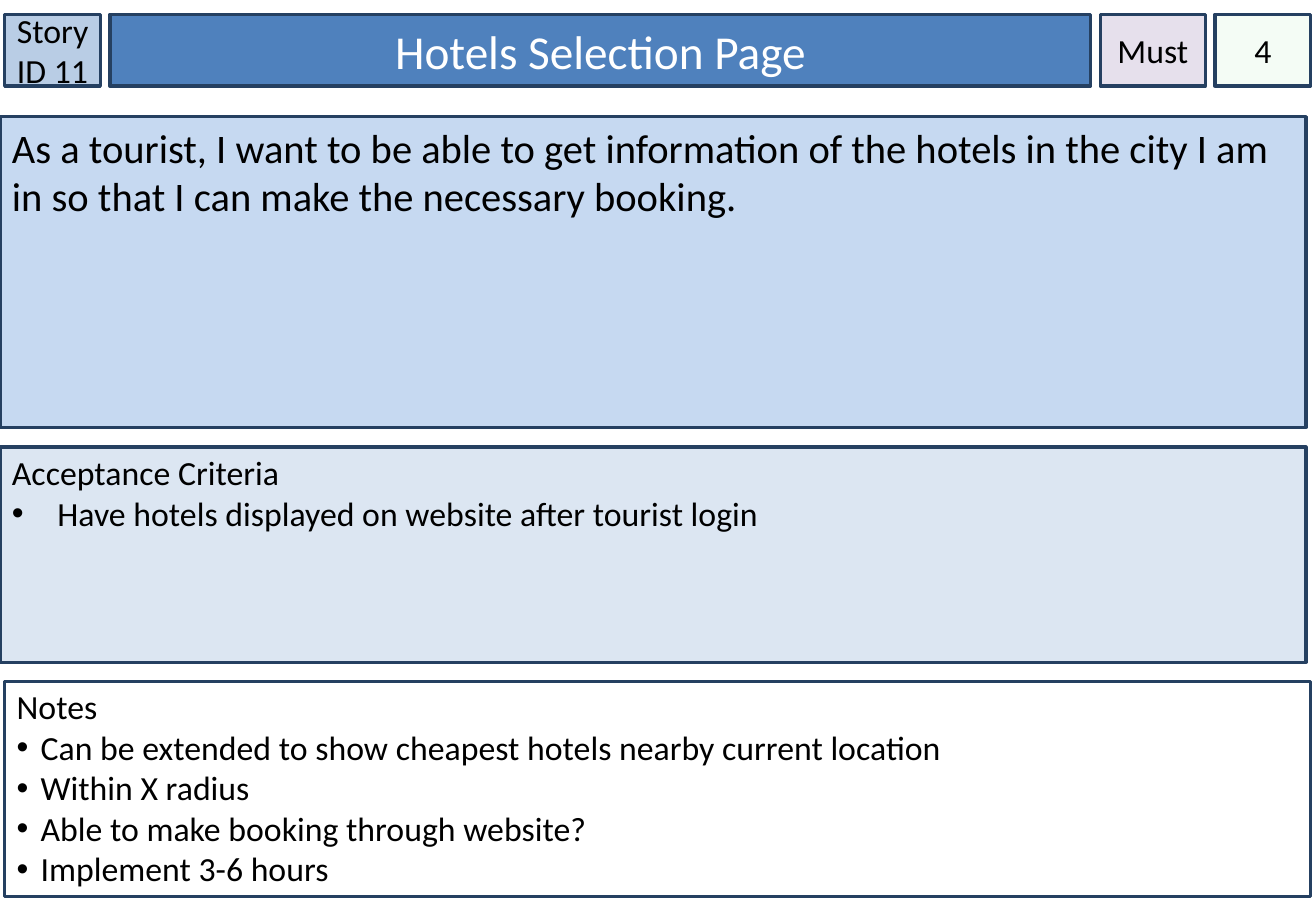
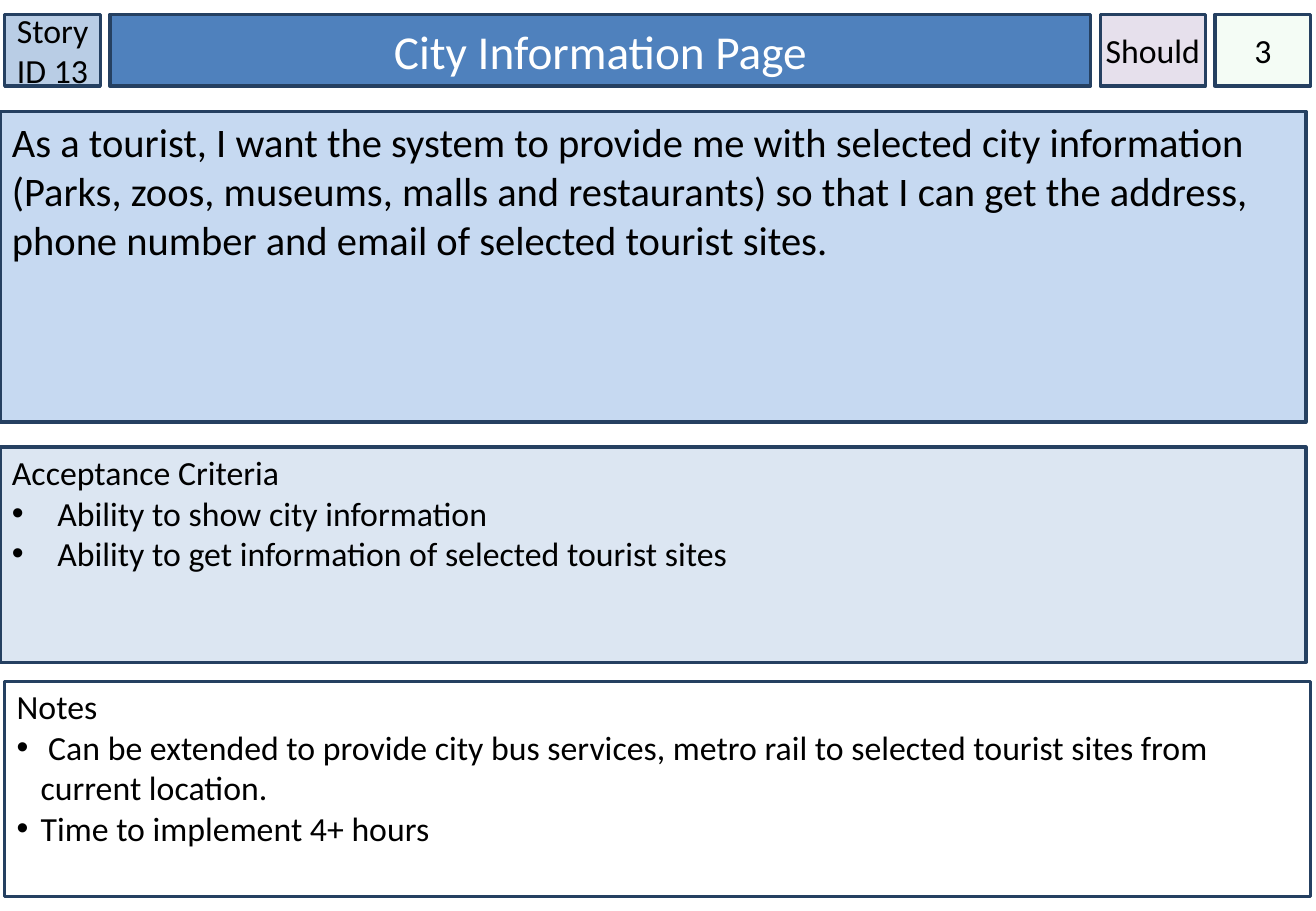
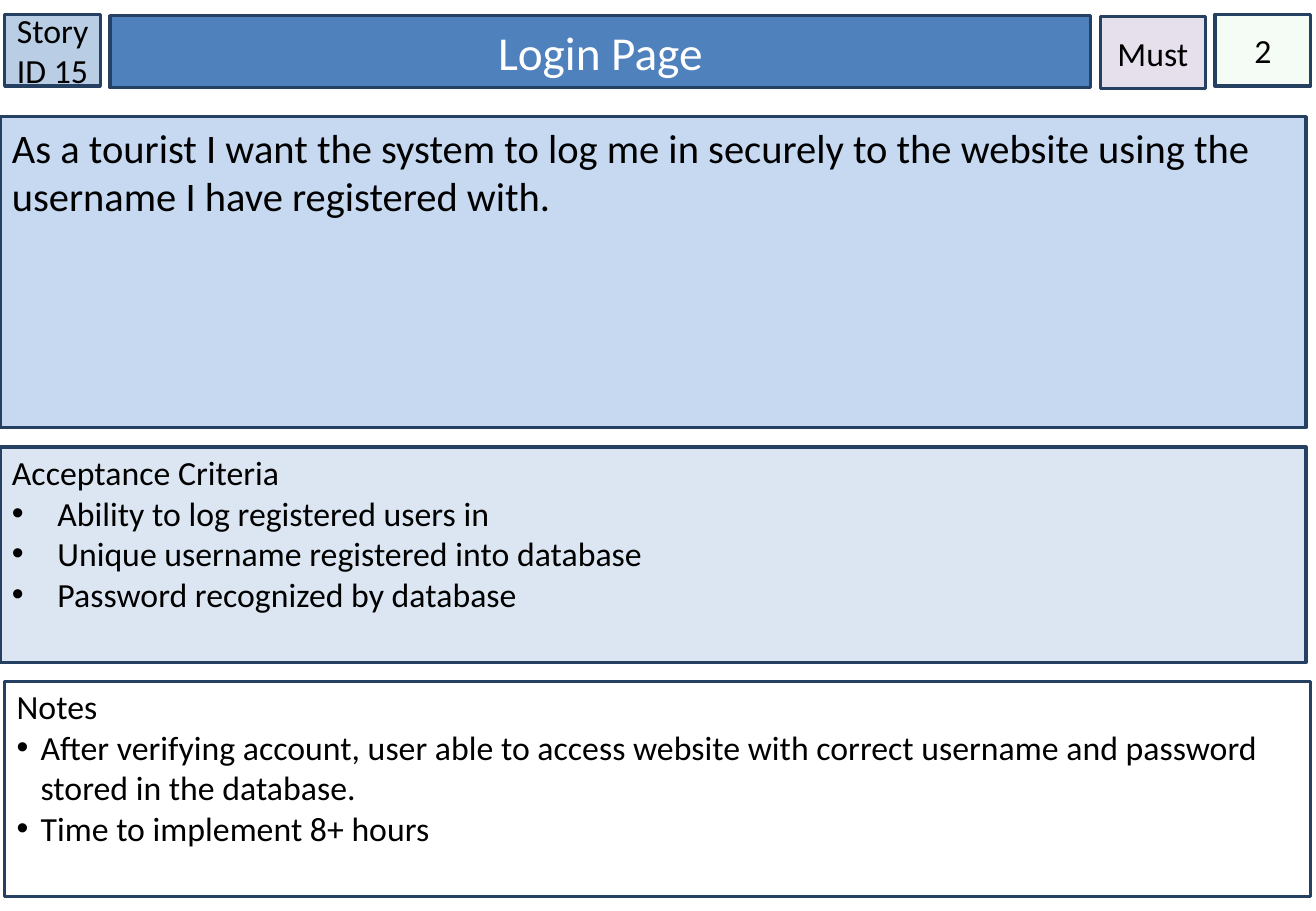
import pptx
import pptx.dml.color
import pptx.enum.shapes
import pptx.enum.text
import pptx.oxml.ns
import pptx.oxml.xmlchemy
import pptx.util
from lxml import etree

Cm = pptx.util.Cm
ANCHOR = pptx.enum.text.MSO_ANCHOR
ALIGN = pptx.enum.text.PP_ALIGN

OUTLINE = "254061"
GAP = 0.2
EDGE = 0.1
HEADER_TOP = 0.3
HEADER_HEIGHT = 1.5
PANEL_WIDTH = 27.3
STORY_TOP = 2.44

TITLE_FONT = {"name": "Calibri", "size": pptx.util.Pt(28), "color": "FFFFFF"}
STORY_FONT = {"name": "Calibri", "size": pptx.util.Pt(24), "color": "000000"}
BODY_FONT = {"name": "Calibri", "size": pptx.util.Pt(20), "color": "000000"}

CENTRED = {"vertical_anchor": ANCHOR.MIDDLE, "word_wrap": True}
BADGE = {**CENTRED, "margin_left": 0, "margin_right": 0}
BADGE_UNWRAPPED = {**BADGE, "word_wrap": False}
PANEL = {"vertical_anchor": ANCHOR.TOP, "word_wrap": True}
LIST_PANEL = {**PANEL, "margin_top": Cm(0.1)}

HEADER_CELLS = [
    ("id", 2.0, "B9CDE5", None, BADGE, BODY_FONT),
    ("title", 20.5, "4F81BD", None, CENTRED, TITLE_FONT),
    ("priority", 2.2, "E6E0EC", None, BADGE_UNWRAPPED, BODY_FONT),
    ("points", 2.0, "CCF0CD", 20, BADGE, BODY_FONT),
]

STORIES = [
    {
        "id": "Story ID 11",
        "title": "Hotels Selection Page",
        "priority": "Must",
        "points": "4",
        "story": "As a tourist, I want to be able to get information of the hotels "
                 "in the city I am in so that I can make the necessary booking.",
        "criteria": ["Have hotels displayed on website after tourist login"],
        "notes": [
            "Can be extended to show cheapest hotels nearby current location",
            "Within X radius",
            "Able to make booking through website?",
            "Implement 3-6 hours",
        ],
        "tops": {},
    },
    {
        "id": "Story ID 13",
        "title": "City Information Page",
        "priority": "Should",
        "points": "3",
        "story": "As a tourist, I want the system to provide me with selected city "
                 "information (Parks, zoos, museums, malls and restaurants) so that I "
                 "can get the address, phone number and email of selected tourist sites.",
        "criteria": [
            "Ability to show city information",
            "Ability to get information of selected tourist sites",
        ],
        "notes": [
            " Can be extended to provide city bus services, metro rail to selected "
            "tourist sites from current location.",
            "Time to implement 4+ hours",
        ],
        "tops": {"story": 2.33},
    },
    {
        "id": "Story ID 15",
        "title": "Login Page",
        "priority": "Must",
        "points": "2",
        "story": "As a tourist I want the system to log me in securely to the website "
                 "using the username I have registered with.",
        "criteria": [
            "Ability to log registered users in",
            "Unique username registered into database",
            "Password recognized by database",
        ],
        "notes": [
            "After verifying account, user able to access website with correct username "
            "and password stored in the database.",
            "Time to implement 8+ hours",
        ],
        "tops": {"title": 0.33, "priority": 0.35},
    },
]


def rgb(value):
    """Turn a hex string into a colour."""
    return pptx.dml.color.RGBColor.from_string(value)


def apply_format(target, values):
    """Set attributes from a dict, colours included."""
    for name, value in values.items():
        if name == "color":
            target.color.rgb = rgb(value)
        else:
            setattr(target, name, value)


def set_opacity(shape, percent):
    """Make the solid fill of a shape partly transparent."""
    qualified = pptx.oxml.ns.qn
    fill_colour = shape.fill._xPr.find(qualified("a:solidFill")).find(qualified("a:srgbClr"))
    etree.SubElement(fill_colour, qualified("a:alpha")).set("val", str(percent * 1000))


def add_bullet(paragraph, indent):
    """Give a paragraph a hanging round bullet."""
    qualified = pptx.oxml.ns.qn
    properties = paragraph._p.get_or_add_pPr()
    properties.set("marL", str(Cm(indent)))
    properties.set("indent", str(-Cm(indent)))
    etree.SubElement(properties, qualified("a:buFont")).set("typeface", "Arial")
    etree.SubElement(properties, qualified("a:buChar")).set("char", "•")


def add_box(slide, left, top, width, height, fill, frame_format):
    """Add an outlined rectangle ready for text."""
    shape = slide.shapes.add_shape(
        pptx.enum.shapes.MSO_SHAPE.RECTANGLE, Cm(left), Cm(top), Cm(width), Cm(height))
    shape.shadow.inherit = False
    shape.fill.solid()
    shape.fill.fore_color.rgb = rgb(fill)
    apply_format(shape.line, {"color": OUTLINE, "width": pptx.util.Pt(2)})
    apply_format(shape.text_frame, frame_format)
    return shape


def write_text(shape, lines, font, alignment=ALIGN.LEFT, indent=0):
    """Write paragraphs, bulleting all after the first."""
    for index, line in enumerate(lines):
        frame = shape.text_frame
        paragraph = frame.add_paragraph() if index else frame.paragraphs[0]
        paragraph.alignment = alignment
        if index:
            add_bullet(paragraph, indent)
        run = paragraph.add_run()
        run.text = line
        apply_format(run.font, font)


def add_header(slide, story):
    """Lay out the header cells from left to right."""
    left = EDGE
    for name, width, fill, opacity, frame_format, font in HEADER_CELLS:
        top = story["tops"].get(name, HEADER_TOP)
        cell = add_box(slide, left, top, width, HEADER_HEIGHT, fill, frame_format)
        if opacity:
            set_opacity(cell, opacity)
        write_text(cell, [story[name]], font, ALIGN.CENTER)
        left += width + GAP


def add_story_card(presentation, story):
    """Add one slide holding a user story."""
    slide = presentation.slides.add_slide(presentation.slide_layouts[6])
    add_header(slide, story)
    story_top = story["tops"].get("story", STORY_TOP)
    panel = add_box(slide, 0, story_top, PANEL_WIDTH, 6.5, "C6D9F1", PANEL)
    write_text(panel, [story["story"]], STORY_FONT)
    for heading, name, left, top, fill, indent in [
        ("Acceptance Criteria", "criteria", 0, 9.35, "DCE6F2", 0.95),
        ("Notes", "notes", EDGE, 14.25, "FFFFFF", 0.5),
    ]:
        panel = add_box(slide, left, top, PANEL_WIDTH, 4.5, fill, LIST_PANEL)
        write_text(panel, [heading, *story[name]], BODY_FONT, indent=indent)


def main():
    """Build the deck of story cards."""
    presentation = pptx.Presentation()
    apply_format(presentation, {"slide_width": Cm(27.51), "slide_height": Cm(19.05)})
    for story in STORIES:
        add_story_card(presentation, story)
    presentation.save("out.pptx")


if __name__ == "__main__":
    main()
